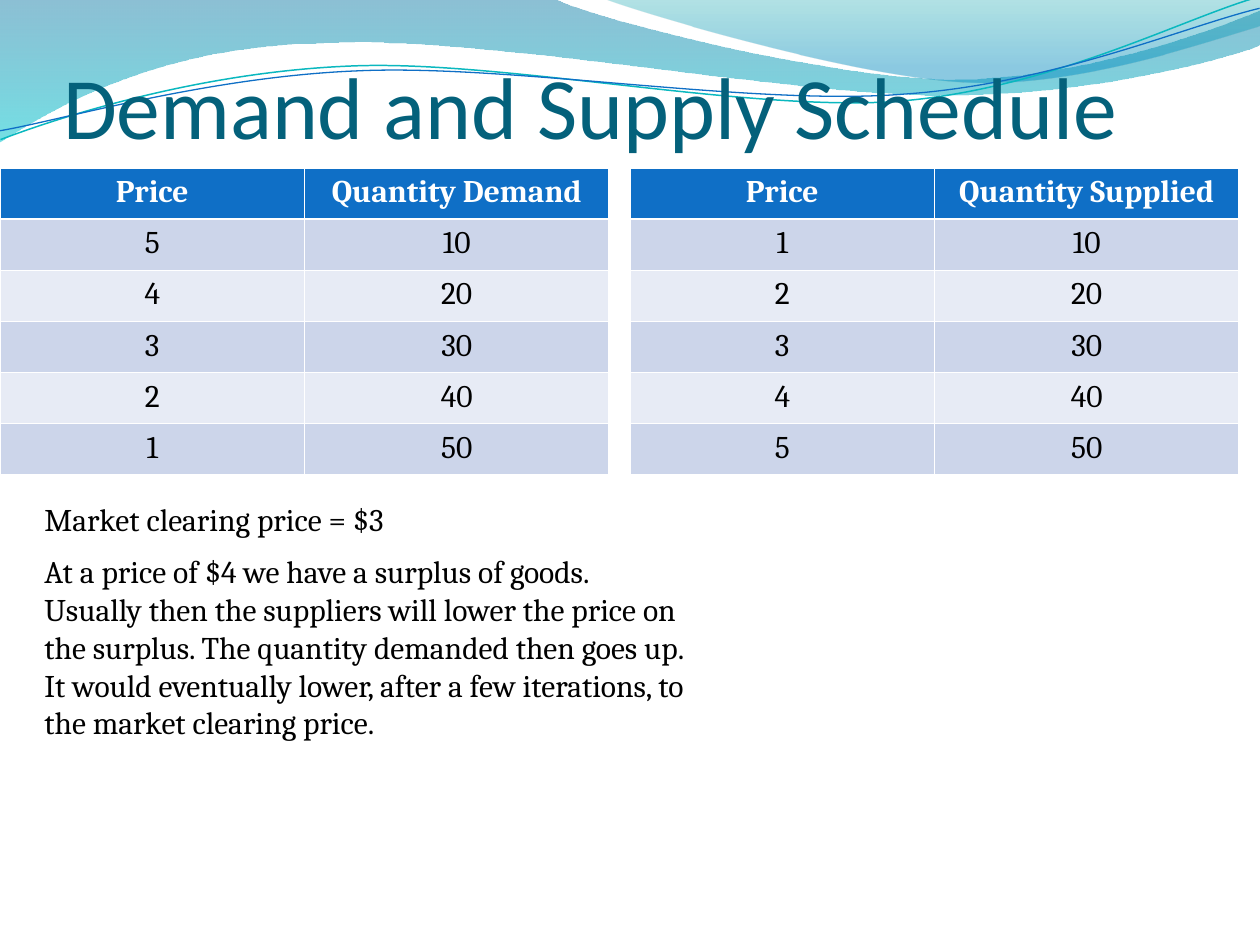
"""Build the demand and supply schedule slide."""
from lxml.etree import SubElement
from pptx import Presentation
from pptx.dml.color import RGBColor
from pptx.enum.text import MSO_ANCHOR, MSO_AUTO_SIZE, PP_ALIGN
from pptx.oxml.ns import qn
from pptx.util import Emu, Pt

SCALE = 914400 / 126
BLACK = RGBColor(0, 0, 0)
WHITE = RGBColor(255, 255, 255)
BLUE = RGBColor(0x0F, 0x6F, 0xC6)
CYAN = RGBColor(0x0A, 0xB8, 0xBF)
TEAL = RGBColor(0x04, 0x61, 0x7B)
DARK = RGBColor(0xCC, 0xD5, 0xEA)
PALE = RGBColor(0xE7, 0xEB, 0xF5)
SEA = RGBColor(0x00, 0x74, 0xA1)
AQUA = RGBColor(0x00, 0xC6, 0xCF)
JADE = RGBColor(0x00, 0xA1, 0xA9)
SKY = RGBColor(0x00, 0x8B, 0xBF)

BODY = {"name": "Cambria", "size": Pt(18), "bold": False}
HEAD = {**BODY, "bold": True}
NAME = {"name": "Calibri", "size": Pt(50), "bold": False}


def px(*vals):
    return [Emu(round(v * SCALE)) for v in vals]


def write(frame, lines, form, color, align=PP_ALIGN.LEFT):
    frame.text = "\n".join(lines)
    for para in frame.paragraphs:
        para.alignment = align
        for key, val in form.items():
            setattr(para.font, key, val)
        para.font.color.rgb = color


deck = Presentation()
deck.slide_width, deck.slide_height = px(1260, 945)
slide = deck.slides.add_slide(deck.slide_layouts[5])
shapes = slide.shapes

waves = [
    ([(0, 0), (554, -1), (600, 21, 837, 79, 955, 79),
      (1075, 79, 1207, 33, 1260, 11), (1261, 45),
      (1239, 55, 1096, 96, 940, 95), (784, 95, 481, 35, 324, 43),
      (163, 45, 58, 105, -1, 142)], [(SEA, 0, 45), (AQUA, 1, 55)], None),
    ([(604, -1), (642, 14, 859, 78, 969, 82),
      (1079, 87, 1211, 40, 1260, 26), (1260, 0)],
     [(JADE, 0, 30), (SKY, 0.8, 45)], None),
    ([(-2, 110), (59, 90, 199, 52, 350, 53), (499, 53, 745, 118, 896, 114),
      (1049, 109, 1184, 45, 1260, 27)], None, (CYAN, 0.85)),
    ([(-2, 101), (57, 94, 207, 57, 357, 58), (509, 58, 750, 112, 902, 107),
      (1052, 104, 1188, 52, 1262, 38)], None, (BLUE, 0.75)),
]
for parts, stops, line in waves:
    ends = [part[-2:] for part in parts]
    left, top = map(min, zip(*ends))
    pen = shapes.build_freeform(*ends[0], scale=SCALE)
    pen.add_line_segments(ends[1:], close=bool(stops))
    wave = pen.convert_to_shape()
    wave.shadow.inherit = False
    legs = list(wave._element.iter(qn("a:lnTo")))
    for leg, part in zip(legs, parts[1:]):
        if len(part) == 6:
            curve = leg.makeelement(qn("a:cubicBezTo"))
            for x, y in zip(part[::2], part[1::2]):
                dot = SubElement(curve, qn("a:pt"))
                dot.set("x", str(x - left))
                dot.set("y", str(y - top))
            leg.getparent().replace(leg, curve)
    if stops:
        wave.line.fill.background()
        wave.fill.gradient()
        wave.fill.gradient_angle = 270
        for stop, (color, place, _) in zip(wave.fill.gradient_stops, stops):
            stop.color.rgb = color
            stop.position = place
        tints = wave._element.spPr.iter(qn("a:srgbClr"))
        for tint, (_, _, alpha) in zip(list(tints), stops):
            SubElement(tint, qn("a:alpha")).set("val", str(alpha * 1000))
    else:
        wave.rotation = 357.3
        wave.fill.background()
        wave.line.color.rgb = line[0]
        wave.line.width = Pt(line[1])

title = shapes.title
shapes._spTree.append(title._element)
title.left, title.top, title.width, title.height = px(63, 0, 1134, 157)
frame = title.text_frame
write(frame, ["Demand and Supply Schedule"], NAME, TEAL)
look = {"margin_left": 0, "margin_right": 0, "margin_bottom": 0,
        "vertical_anchor": MSO_ANCHOR.BOTTOM, "word_wrap": True,
        "auto_size": MSO_AUTO_SIZE.NONE}
for key, val in look.items():
    setattr(frame, key, val)

amounts = [10, 20, 30, 40, 50]
tables = [(630, "Quantity Supplied", [1, 2, 3, 4, 5]),
          (0, "Quantity Demand", [5, 4, 3, 2, 1])]
for left, label, prices in tables:
    rows = [("Price", label), *zip(prices, amounts)]
    grid = shapes.add_table(len(rows), 2, *px(left, 168, 609, 307)).table
    for r, row in enumerate(rows):
        for c, value in enumerate(row):
            cell = grid.cell(r, c)
            form, ink = (BODY, BLACK) if r else (HEAD, WHITE)
            write(cell.text_frame, [str(value)], form, ink, PP_ALIGN.CENTER)
            cell.fill.solid()
            cell.fill.fore_color.rgb = (DARK if r % 2 else PALE) if r else BLUE

notes = [
    ((32, 494, 382, 50), False, ["Market clearing price = $3"]),
    ((32, 546, 683, 204), True, [
        "At a price of $4 we have a surplus of goods.",
        "Usually then the suppliers will lower the price on the surplus. "
        "The quantity demanded then goes up. It would eventually lower, "
        "after a few iterations, to the market clearing price."]),
]
for place, wrap, lines in notes:
    frame = shapes.add_textbox(*px(*place)).text_frame
    frame.word_wrap = wrap
    frame.auto_size = MSO_AUTO_SIZE.SHAPE_TO_FIT_TEXT
    write(frame, lines, BODY, BLACK)

deck.save("out.pptx")
